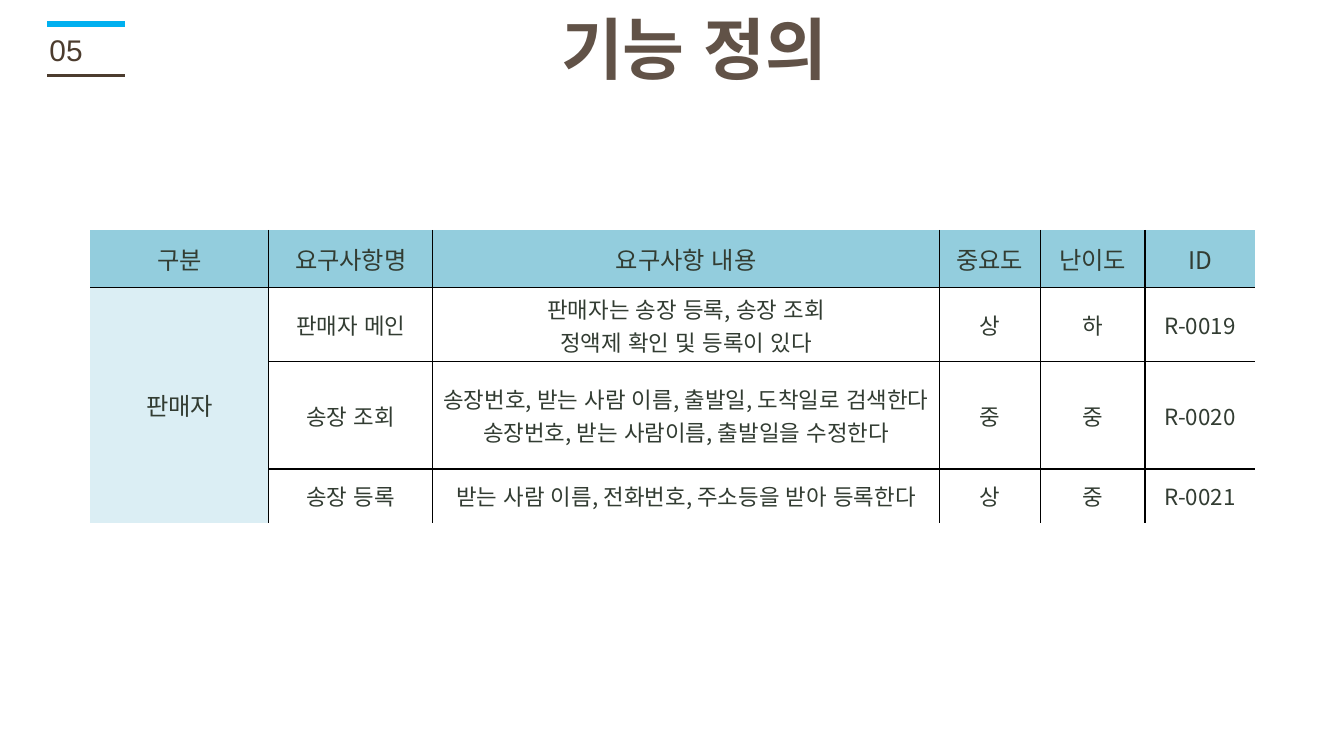
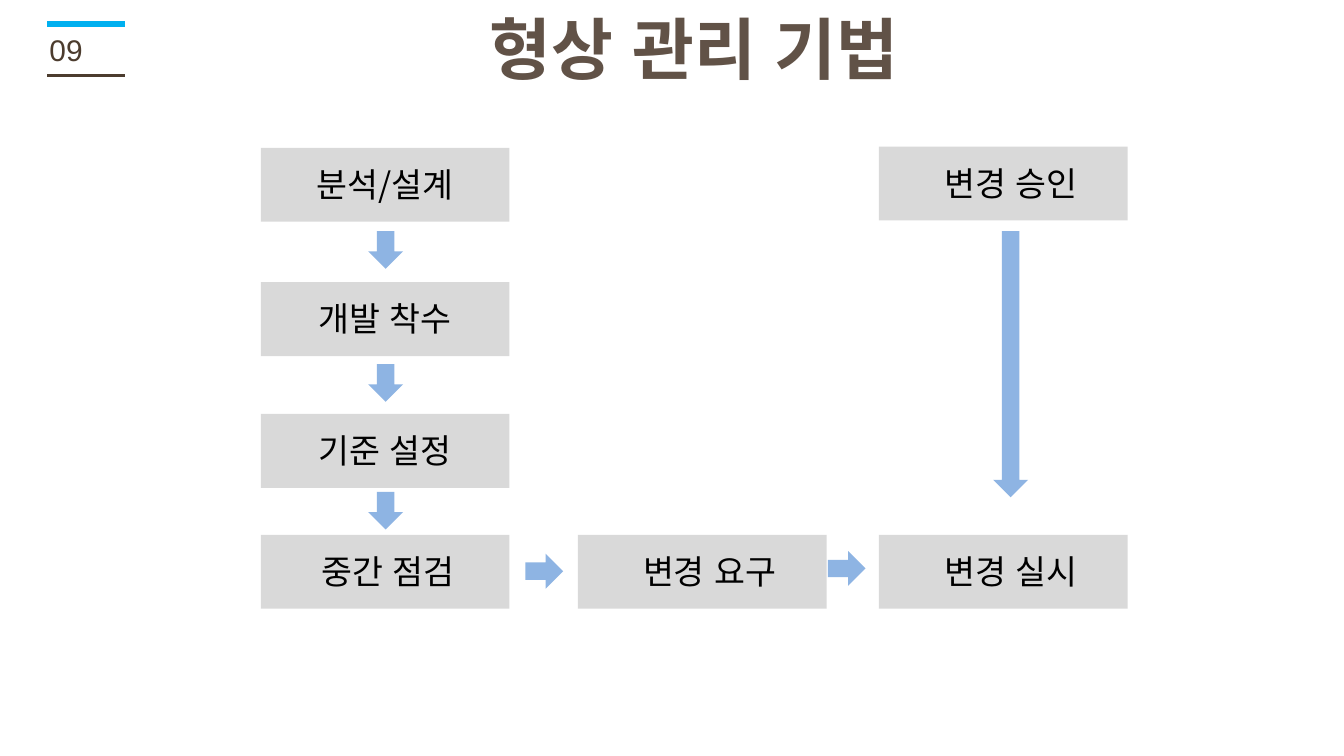
from lxml import etree
from pptx import Presentation
from pptx.dml.color import RGBColor
from pptx.enum.lang import MSO_LANGUAGE_ID
from pptx.enum.shapes import MSO_CONNECTOR, MSO_SHAPE
from pptx.enum.text import MSO_ANCHOR, MSO_AUTO_SIZE, PP_ALIGN
from pptx.oxml.ns import qn
from pptx.util import Inches, Pt

CENTER, MIDDLE = PP_ALIGN.CENTER, MSO_ANCHOR.MIDDLE
NO_FIT, GROW = MSO_AUTO_SIZE.NONE, MSO_AUTO_SIZE.SHAPE_TO_FIT_TEXT
RECTANGLE, DOWN_ARROW = MSO_SHAPE.RECTANGLE, MSO_SHAPE.DOWN_ARROW
STRAIGHT = MSO_CONNECTOR.STRAIGHT
KOREAN_LANGUAGE = MSO_LANGUAGE_ID.KOREAN

KOREAN, LATIN = "Noto Sans CJK KR", "Arial"
BLACK = RGBColor(0x00, 0x00, 0x00)
SKY = RGBColor(0x00, 0xB0, 0xF0)
BROWN = RGBColor(0x4C, 0x3C, 0x2E)
TITLE_BROWN = RGBColor(0x61, 0x52, 0x47)
CELL_TEXT = RGBColor(0x32, 0x3C, 0x32)
HEADER_FILL = RGBColor(0x93, 0xCD, 0xDD)
GROUP_FILL = RGBColor(0xDB, 0xEE, 0xF4)
BOX_FILL = RGBColor(0xD9, 0xD9, 0xD9)
ARROW_FILL = RGBColor(0x8E, 0xB4, 0xE3)

# Top, colour and width of the lines around the page number
NUMBER_LINES = [(0.18, SKY, 3), (0.56, BROWN, 1.5)]

TABLE_LEFT = 0.67
COLUMNS = [1.33, 1.22, 3.77, 0.75, 0.78, 0.82]
HEADER = [["구분", "요구사항명", "요구사항 내용", "중요도", "난이도", "ID"]]
REQUIREMENTS = [
    ["판매자", "판매자 메인",
     "판매자는 송장 등록, 송장 조회\n정액제 확인 및 등록이 있다", "상", "하", "R-0019"],
    ["", "송장 조회",
     "송장번호, 받는 사람 이름, 출발일, 도착일로 검색한다\n송장번호, 받는 사람이름, 출발일을 수정한다",
     "중", "중", "R-0020"],
    ["", "송장 등록", "받는 사람 이름, 전화번호, 주소등을 받아 등록한다", "상", "중", "R-0021"],
]

BOX_WIDTH, BOX_HEIGHT = 1.85, 0.55
LABEL_INSET, LABEL_TOP, LABEL_HEIGHT = 0.25, 0.07, 0.4
NARROW, WIDE = 1.35, 1.46
# Label, left, top, label width
STEPS = [
    ("분석/설계", 1.94, 1.1, NARROW),
    ("개발 착수", 1.94, 2.1, NARROW),
    ("기준 설정", 1.94, 3.08, NARROW),
    ("중간 점검 ", 1.94, 3.98, WIDE),
    ("변경 요구", 4.3, 3.98, WIDE),
    ("변경 실시", 6.54, 3.98, WIDE),
    ("변경 승인", 6.54, 1.09, WIDE),
]
ARROW_WIDTH, SHORT, LONG = 0.26, 0.28, 1.98
DOWN, RIGHT = 0, 270
# Left, top, length, rotation
ARROWS = [
    (2.74, 1.72, SHORT, DOWN),
    (2.74, 2.71, SHORT, DOWN),
    (2.74, 3.66, SHORT, DOWN),
    (3.92, 4.11, SHORT, RIGHT),
    (6.17, 4.09, SHORT, RIGHT),
    (7.39, 1.72, LONG, DOWN),
]


def inches(*lengths):
    return [Inches(length) for length in lengths]


def add_span(para, text, size, color, font=KOREAN, bold=False):
    span = para.add_run()
    span.text = text
    span.font.size, span.font.bold, span.font.name = Pt(size), bold, font
    span.font.language_id = KOREAN_LANGUAGE
    span.font.color.rgb = color
    east_asian = etree.SubElement(span.font._element, qn("a:ea"))
    east_asian.set("typeface", font)


def prepare_layout(deck):
    """Place the title on the layout both pages share."""
    layout = deck.slide_layouts[5]
    title = layout.placeholders[0]
    title.left, title.top, title.width, title.height = inches(0.99, 0.07, 8.35, 0.57)
    return layout


def add_number_lines(page):
    """Draw the lines on a page, then move them to its layout."""
    for top, color, width in NUMBER_LINES:
        line = page.shapes.add_connector(STRAIGHT, *inches(0.35, top, 0.93, top))
        line.line.color.rgb, line.line.width = color, Pt(width)
        etree.SubElement(line._element.spPr, qn("a:effectLst"))
        page.slide_layout.shapes._spTree.append(line._element)


def add_page(deck, layout, title, number):
    page = deck.slides.add_slide(layout)
    frame = page.shapes.title.text_frame
    frame.auto_size, frame.vertical_anchor = NO_FIT, MIDDLE
    para = frame.paragraphs[0]
    para.alignment = CENTER
    add_span(para, title, 36, TITLE_BROWN, bold=True)

    frame = page.shapes.add_textbox(*inches(0.27, 0.08, 0.54, 0.57)).text_frame
    frame.word_wrap, frame.vertical_anchor = True, MIDDLE
    para = frame.paragraphs[0]
    para.line_spacing = 1.02
    add_span(para, number, 16, BROWN, LATIN)
    return page


def set_borders(cell, visible):
    properties = cell._tc.get_or_add_tcPr()
    for side in "LRTB":
        border = etree.SubElement(properties, qn(f"a:ln{side}"), w=str(Pt(0.75)))
        if side in visible:
            fill = etree.SubElement(border, qn("a:solidFill"))
            etree.SubElement(fill, qn("a:srgbClr"), val=str(BLACK))
        else:
            etree.SubElement(border, qn("a:noFill"))


def fill_cell(cell, text, size, color, borders):
    set_borders(cell, borders)
    if color is None:
        cell.fill.background()
    else:
        cell.fill.solid()
        cell.fill.fore_color.rgb = color
    cell.margin_left = cell.margin_right = Inches(0.07)
    cell.margin_top = cell.margin_bottom = Inches(0.04)
    cell.vertical_anchor = MIDDLE
    frame = cell.text_frame
    for index, line in enumerate(text.split("\n") if text else []):
        para = frame.add_paragraph() if index else frame.paragraphs[0]
        para.alignment = CENTER
        add_span(para, line, size, CELL_TEXT)


def add_grid(page, top, heights, rows, is_header):
    """Add a table ruled inside, open at its outer sides."""
    frame = page.shapes.add_table(
        len(rows), len(COLUMNS), *inches(TABLE_LEFT, top, sum(COLUMNS), sum(heights)))
    table = frame.table
    table.first_row = table.horz_banding = False
    for column, width in zip(table.columns, COLUMNS):
        column.width = Inches(width)
    for row, height in zip(table.rows, heights):
        row.height = Inches(height)
    if not is_header:
        table.cell(0, 0).merge(table.cell(len(rows) - 1, 0))

    last_row, last_column = len(rows) - 1, len(COLUMNS) - 1
    for r, texts in enumerate(rows):
        for c, text in enumerate(texts):
            borders = "L" * (c > 0) + "R" * (c < last_column)
            if is_header:
                borders, color = borders + "B", HEADER_FILL
            else:
                borders += "T" * (c > 0 or r == 0) + "B" * (c > 0 and r < last_row)
                color = None if c else GROUP_FILL
            size = 13 if is_header or c == 0 else 12
            fill_cell(table.cell(r, c), text, size, color, borders)


def add_plain_shape(shapes, kind, place, color):
    shape = shapes.add_shape(kind, *inches(*place))
    shape.shadow.inherit = False
    shape.fill.solid()
    shape.fill.fore_color.rgb = color
    shape.line.fill.background()
    return shape


def add_step(page, text, left, top, label_width):
    shapes = page.shapes.add_group_shape().shapes
    add_plain_shape(shapes, RECTANGLE, (left, top, BOX_WIDTH, BOX_HEIGHT), BOX_FILL)
    label = shapes.add_textbox(
        *inches(left + LABEL_INSET, top + LABEL_TOP, label_width, LABEL_HEIGHT))
    frame = label.text_frame
    frame.word_wrap, frame.auto_size = True, GROW
    para = frame.paragraphs[0]
    para.alignment = CENTER
    add_span(para, text, 18, BLACK)


def main():
    deck = Presentation()
    deck.slide_width = Inches(10)
    deck.slide_height = deck.slide_width * 9 // 16
    layout = prepare_layout(deck)

    page = add_page(deck, layout, "기능 정의", "05")
    add_number_lines(page)
    add_grid(page, 2.14, [0.55, 0.8, 0.4], REQUIREMENTS, is_header=False)
    add_grid(page, 1.71, [0.43], HEADER, is_header=True)

    page = add_page(deck, layout, "형상 관리 기법", "09")
    for step in STEPS:
        add_step(page, *step)
    for left, top, length, rotation in ARROWS:
        place = (left, top, ARROW_WIDTH, length)
        add_plain_shape(page.shapes, DOWN_ARROW, place, ARROW_FILL).rotation = rotation

    deck.save("out.pptx")


if __name__ == "__main__":
    main()
